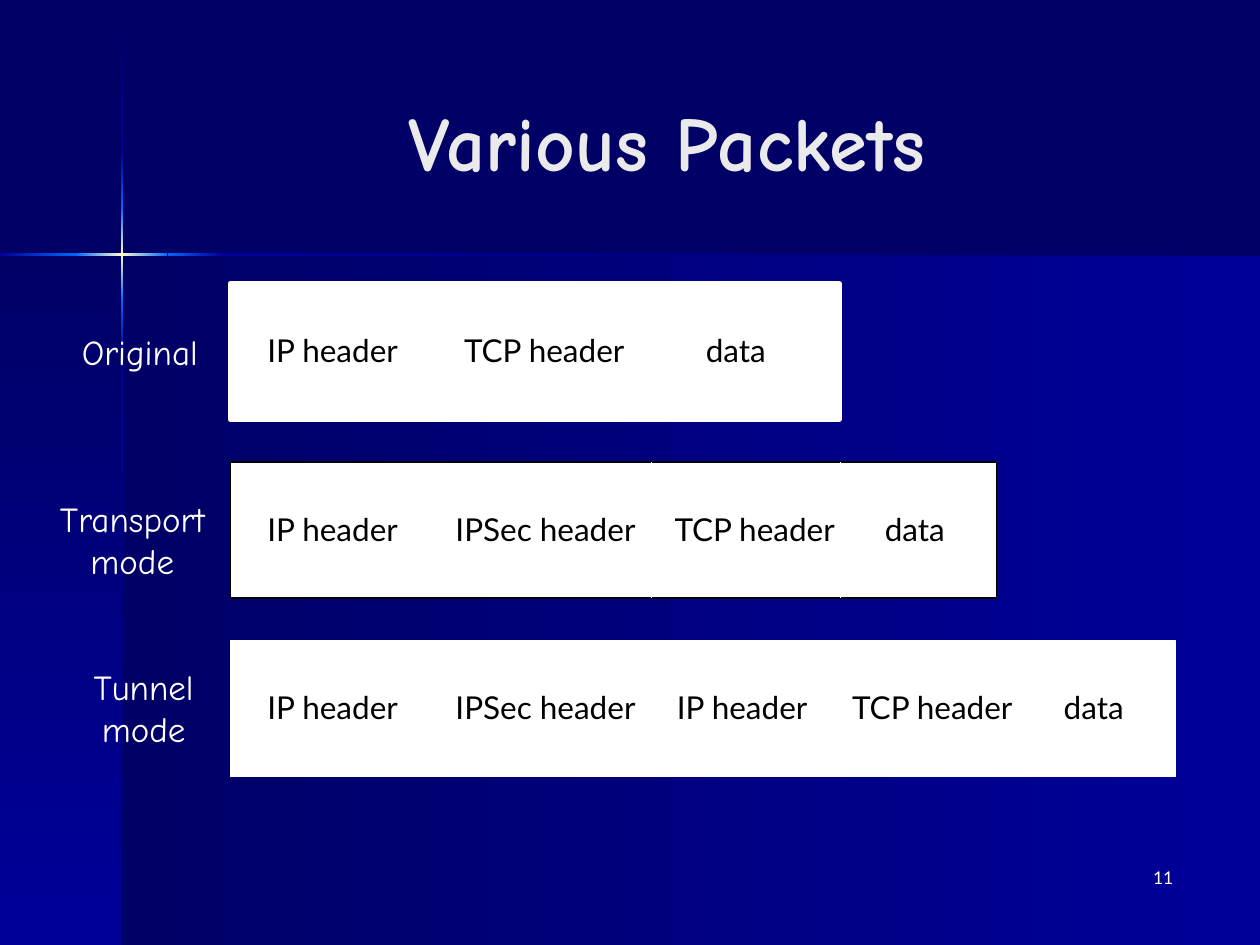
from copy import deepcopy

from pptx import Presentation
from pptx import util as u
from pptx.dml.color import RGBColor
from pptx.enum import shapes, text
from pptx.oxml.ns import qn
from lxml import etree

W, H = 10, 7.5
NAVY, BLUE, BRIGHT, CREAM = "000066", "000099", "0066FF", "FFFFCC"
WHITE, BLACK, GREY = "FFFFFF", "000000", "EAEAEA"
SANS, COMIC = "Lato", "Comic Neue"

# Backdrop: the two panels, then the vertical and horizontal beams of the star
CROSS_X, CROSS_Y, BEAM = 0.97, 2.02, 0.02
PANELS = [
    (CROSS_X, CROSS_Y, W - CROSS_X, H - CROSS_Y, (NAVY, BLUE), 0),
    (0, CROSS_Y, CROSS_X, H - CROSS_Y, (NAVY, BLUE), 90),
]
VERTICAL_BEAM = [  # start, end, colours
    (0.01, 1.21, (NAVY, BLUE)),
    (2.82, H, (BLUE, NAVY)),
    (2.38, 2.82, (BRIGHT, BLUE)),
    (1.21, 1.65, (BLUE, BRIGHT)),
    (1.65, 2.38, (BRIGHT, CREAM, BRIGHT)),
]
HORIZONTAL_BEAM = [
    (1.77, W, (BLUE, NAVY)),
    (0, 0.61, (BLUE, BRIGHT)),
    (1.33, 1.77, (BRIGHT, BLUE)),
    (0.6, 1.33, (BRIGHT, CREAM, BRIGHT)),
]

# Packets: label, label centre, width, outline, dividers, (field, centre)
PACKETS = [
    (["Original"], 1.11, 4.83, (WHITE, 3), [3.42],
     [("IP header", 2.64), ("TCP header", 4.32), ("data", 5.84)]),
    (["Transport", "mode"], 1.05, 6.08, (BLACK, 0.75), [5.17, 6.67],
     [("IP header", 2.64), ("IPSec header", 4.33), ("TCP header", 5.99),
      ("data", 7.26)]),
    (["Tunnel", "mode"], 1.14, 7.5, (WHITE, 0.75), [3.42, 5.17, 6.67, 8.17],
     [("IP header", 2.64), ("IPSec header", 4.33), ("IP header", 5.89),
      ("TCP header", 7.4), ("data", 8.68)]),
]
FIELD_WIDTHS = {"IP header": 1.33, "TCP header": 1.54, "IPSec header": 1.73,
                "data": 0.72}
LABEL_WIDTH, FIELD_HEIGHT = 1.35, 0.4
PACKET_X, PACKET_Y, PACKET_H, PITCH = 1.83, 2.25, 1.08, 1.417

prs = Presentation()
prs.slide_width, prs.slide_height = u.Inches(W), u.Inches(H)
s = prs.slides.add_slide(prs.slide_layouts[5])


def rgb(colour):
    return RGBColor.from_string(colour)


def inches(*values):
    return [u.Inches(v) for v in values]


def add_rect(x, y, w, h):
    sp = s.shapes.add_shape(shapes.MSO_SHAPE.RECTANGLE, *inches(x, y, w, h))
    sp.shadow.inherit = False
    return sp


def add_gradient(x, y, w, h, colours, angle):
    """Borderless rectangle; angle runs clockwise, 90 is top to bottom."""
    sp = add_rect(x, y, w, h)
    sp.line.fill.background()
    sp.fill.gradient()
    sp.fill.gradient_angle = (360 - angle) % 360
    stops = sp._element.spPr.find(qn("a:gradFill")).find(qn("a:gsLst"))
    for _ in colours[2:]:
        stops.append(deepcopy(stops[-1]))
    for i, (stop, colour) in enumerate(zip(sp.fill.gradient_stops, colours)):
        stop.position = i / (len(colours) - 1)
        stop.color.rgb = rgb(colour)


def write(tf, lines, size, font, colour, align=text.PP_ALIGN.CENTER, bold=False):
    for i, line in enumerate(lines):
        p = tf.add_paragraph() if i else tf.paragraphs[0]
        p.alignment = align
        r = p.add_run()
        r.text = line
        r.font.size, r.font.name, r.font.bold = u.Pt(size), font, bold
        r.font.color.rgb = rgb(colour)


def add_centred(lines, centre, y, w, h, *style):
    tf = s.shapes.add_textbox(*inches(centre - w / 2, y, w, h)).text_frame
    tf.word_wrap = False
    write(tf, lines, *style)


def add_divider(x, y):
    line = s.shapes.add_connector(shapes.MSO_CONNECTOR.STRAIGHT,
                                  *inches(x, y, x, y + PACKET_H))
    line.line.color.rgb, line.line.width = rgb(WHITE), u.Pt(0.75)
    etree.SubElement(line._element.spPr, qn("a:effectLst"))


s.background.fill.solid()
s.background.fill.fore_color.rgb = rgb(NAVY)
for panel in PANELS:
    add_gradient(*panel)
for start, end, colours in VERTICAL_BEAM:
    add_gradient(CROSS_X - BEAM / 2, start, BEAM, end - start, colours, 90)
for start, end, colours in HORIZONTAL_BEAM:
    add_gradient(start, CROSS_Y - BEAM / 2, end - start, BEAM, colours, 0)

number = s.shapes.add_textbox(*inches(7.33, 6.83, 2.08, 0.5)).text_frame
number.word_wrap = True
write(number, ["11"], 10, SANS, WHITE, text.PP_ALIGN.RIGHT)

title = s.shapes.title
title.left, title.top, title.width, title.height = inches(1.17, 0.33, 8.25, 1.57)
title.text_frame.vertical_anchor = text.MSO_ANCHOR.MIDDLE
write(title.text_frame, ["Various Packets"], 44, COMIC, GREY, bold=True)
s.shapes._spTree.append(title._element)  # in front of the backdrop

for row, (label, label_x, width, outline, dividers, fields) in enumerate(PACKETS):
    y = PACKET_Y + row * PITCH
    packet = add_rect(PACKET_X, y, width, PACKET_H)
    packet.fill.solid()
    packet.fill.fore_color.rgb = rgb(WHITE)
    packet.line.color.rgb, packet.line.width = rgb(outline[0]), u.Pt(outline[1])
    for x in dividers:
        add_divider(x, y)
    for field, centre in fields:
        add_centred([field], centre, y + 0.33, FIELD_WIDTHS[field], FIELD_HEIGHT,
                    18, SANS, BLACK)
    label_h = 0.11 + 0.33 * len(label)
    label_y = y + (0.32 if len(label) == 1 else 0.23 - 0.08 * (row - 1))
    add_centred(label, label_x, label_y, LABEL_WIDTH, label_h, 20, COMIC, WHITE)

prs.save("out.pptx")
